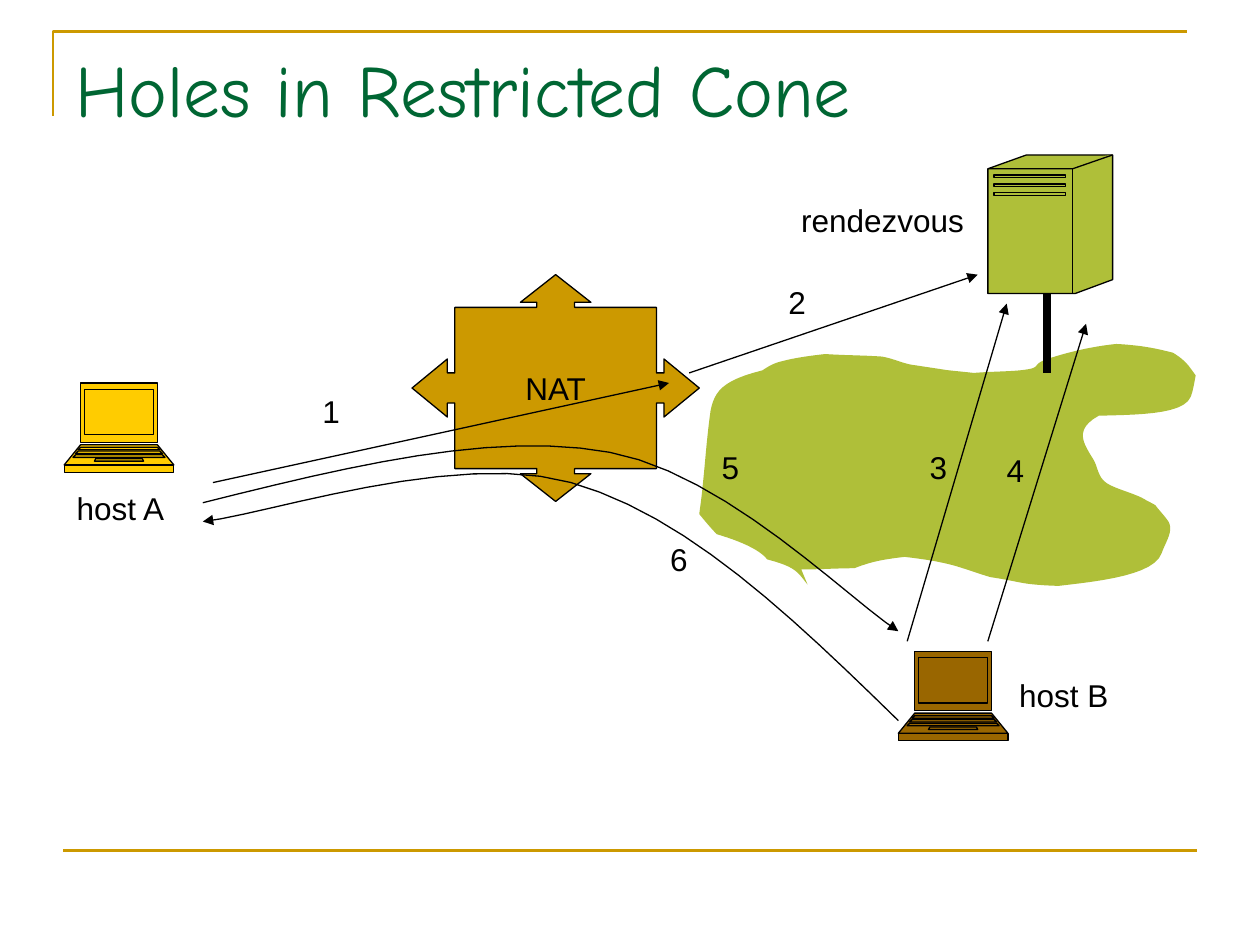
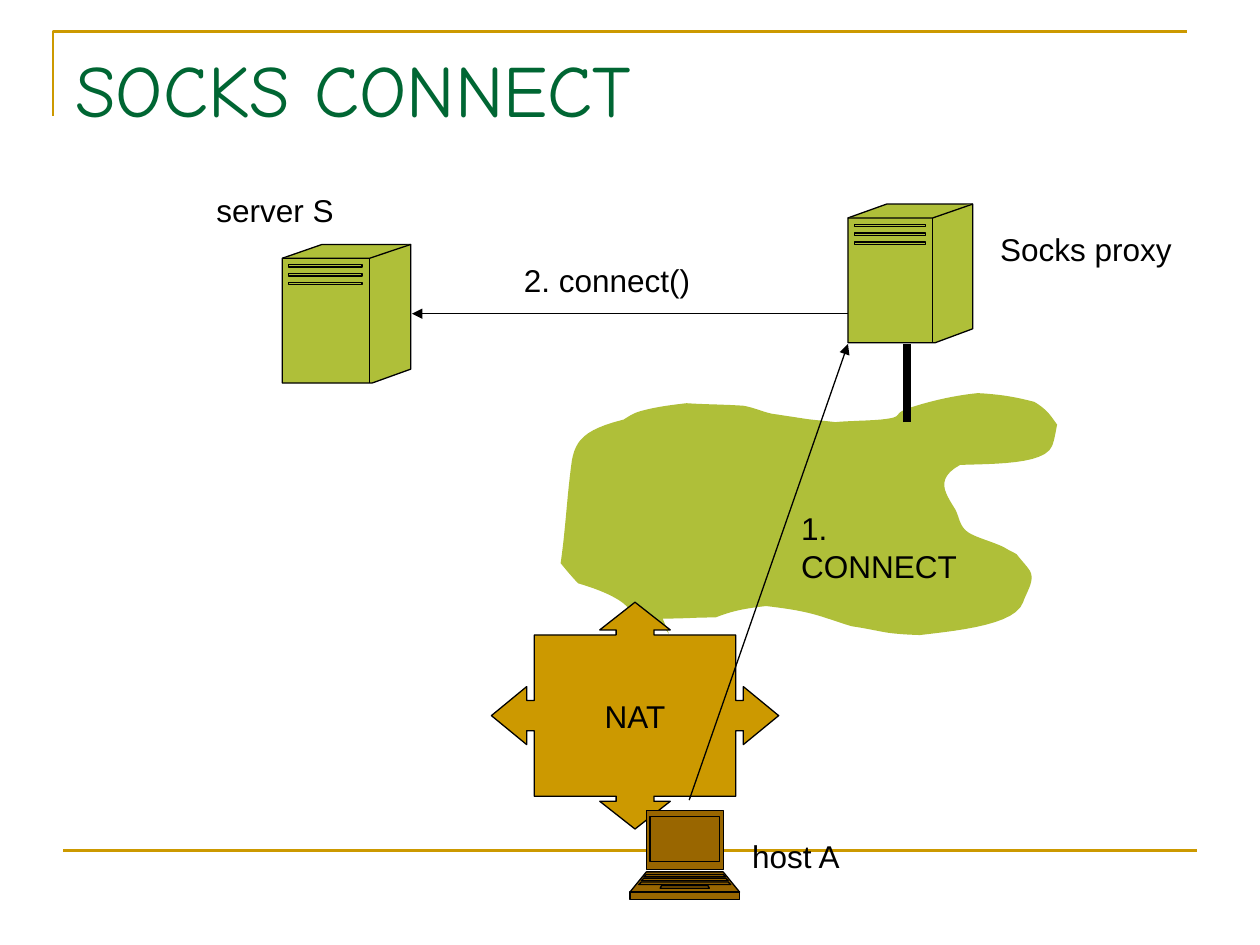
from lxml.etree import SubElement
from pptx import Presentation
from pptx.dml.color import RGBColor
from pptx.enum.shapes import MSO_CONNECTOR as Connector
from pptx.enum.text import MSO_ANCHOR as Anchor, MSO_AUTO_SIZE as AutoSize, PP_ALIGN as Align
from pptx.oxml.ns import qn
from pptx.util import Inches, Pt

GOLD = RGBColor(0xCC, 0x99, 0x00)
GREEN = RGBColor(0x00, 0x66, 0x33)
OLIVE = RGBColor(0xAF, 0xBF, 0x39)
BROWN = RGBColor(0x99, 0x66, 0x00)
YELLOW = RGBColor(0xFF, 0xCC, 0x00)
BLACK = RGBColor(0x00, 0x00, 0x00)
TITLE_FONT, BODY_FONT = "Comic Neue", "Arial"
THIN, FRAME, CABLE = 0.75, 1.5, 4.5

deck = Presentation()
deck.slide_width, deck.slide_height = Inches(10), Inches(7.5)
CELL = deck.slide_width // 10

CLOUD = [
    (0.86, 1.91),
    (0.78, 1.81), (0.77, 1.77), (0.54, 1.71),
    (0.48, 1.63), (0.31, 1.56), (0.14, 1.51),
    (0.09, 1.46), (0.05, 1.41), (0, 1.35),
    (0.04, 1.08), (0.05, 0.81), (0.09, 0.53),
    (0.12, 0.38), (0.18, 0.29), (0.5, 0.21),
    (0.58, 0.16), (0.59, 0.15), (0.73, 0.12),
    (0.82, 0.1), (1, 0.08), (1, 0.08),
    (1.15, 0.09), (1.3, 0.09), (1.45, 0.1),
    (1.56, 0.12), (1.62, 0.16), (1.72, 0.17),
    (2.05, 0.22), (1.9, 0.2), (2.18, 0.23),
    (2.29, 0.22), (2.42, 0.22), (2.54, 0.21),
    (2.74, 0.19), (2.62, 0.17), (2.76, 0.12),
    (2.91, 0.07), (3.11, 0.02), (3.31, 0),
    (3.49, 0.01), (3.61, 0.03), (3.76, 0.07),
    (3.86, 0.13), (3.89, 0.18), (3.94, 0.25),
    (3.93, 0.3), (3.92, 0.37), (3.9, 0.42),
    (3.84, 0.57), (3.42, 0.56), (3.17, 0.57),
    (2.97, 0.68), (3.05, 0.79), (3.13, 0.92),
    (3.17, 0.99), (3.16, 1.07), (3.26, 1.12),
    (3.34, 1.16), (3.46, 1.19), (3.53, 1.23),
    (3.56, 1.25), (3.59, 1.26), (3.62, 1.28),
    (3.65, 1.32), (3.68, 1.35), (3.71, 1.39),
    (3.78, 1.47), (3.7, 1.57), (3.67, 1.66),
    (3.61, 1.83), (3.21, 1.88), (2.85, 1.92),
    (2.55, 1.91), (2.57, 1.89), (2.31, 1.85),
    (2.17, 1.81), (2.06, 1.76), (1.9, 1.73),
    (1.81, 1.71), (1.63, 1.69), (1.63, 1.69),
    (1.45, 1.71), (1.36, 1.73), (1.23, 1.78),
    (1.09, 1.78), (0.95, 1.79), (0.81, 1.79),
]

QUARTER = [(0, -0.9), (0.28, -0.68), (0.15, -0.68), (0.15, -0.64), (0.8, -0.64),
           (0.8, -0.12), (0.86, -0.12), (0.86, -0.23), (1.14, 0)]
RIGHT_HALF = QUARTER + [(x, -y) for x, y in QUARTER[-2::-1]]
NAT = RIGHT_HALF + [(-x, y) for x, y in RIGHT_HALF[-2:0:-1]]

LAPTOP_WIDTH = 0.87
LAPTOP_PARTS = [(0.13, 0.13, 0, 0.47), (0.13, 0, 0.49, 0.65), (0, 0, 0.65, 0.71),
                (0.16, 0.16, 0.05, 0.41), (0.13, 0.11, 0.51, 0.53), (0.25, 0.24, 0.6, 0.62),
                (0.11, 0.09, 0.54, 0.56), (0.09, 0.07, 0.57, 0.59)]
LAPTOP = [[(upper, top), (LAPTOP_WIDTH - upper, top),
           (LAPTOP_WIDTH - lower, bottom), (lower, bottom), (upper, top)]
          for upper, lower, top, bottom in LAPTOP_PARTS]

SERVER = [[(0, 0.11), (0.31, 0), (1, 0), (1, 0.99), (0.7, 1.1), (0, 1.1), (0, 0.11)],
          [(0, 0.11), (0.68, 0.11), (1, 0)],
          [(0.68, 0.11), (0.68, 1.1)]]
SERVER += [[(0.05, y), (0.62, y), (0.62, y + 0.02), (0.05, y + 0.02), (0.05, y)]
           for y in (0.16, 0.23, 0.3)]

SLIDES = [
    {
        "title": "Holes in Restricted Cone",
        "cloud": (5.55, 2.73),
        "nat": (4.41, 3.08),
        "laptops": [(7.13, 5.17, BROWN), (0.51, 3.04, YELLOW)],
        "servers": [(7.84, 1.23, 0.99)],
        "cable": (8.31, 2.96, 8.31, 2.33),
        "labels": [("rendezvous", 6.26, 1.55, 1.49), ("host A", 0.51, 3.83, 0.91),
                   ("host B", 7.99, 5.32, 0.91), ("1", 2.46, 3.06, 0.34),
                   ("2", 6.16, 2.2, 0.34), ("3", 7.28, 3.51, 0.34),
                   ("4", 7.89, 3.53, 0.34), ("5", 5.63, 3.51, 0.34),
                   ("6", 5.22, 4.24, 0.34)],
        "arrows": [(1.69, 3.83, 5.31, 3.04), (5.47, 2.96, 7.76, 2.18),
                   (7.2, 5.09, 7.99, 2.41), (7.84, 5.09, 8.62, 2.57)],
        "curves": [[(1.61, 3.99), (2.77, 3.7), (3.92, 3.42), (4.84, 3.59),
                    (5.76, 3.76), (6.75, 4.77), (7.13, 5.01)],
                   [(7.13, 5.72), (6.29, 4.9), (5.45, 4.09), (4.53, 3.83),
                    (3.61, 3.57), (2.1, 4.09), (1.61, 4.14)]],
    },
    {
        "title": "SOCKS CONNECT",
        "cloud": (4.45, 3.12),
        "nat": (5.04, 5.68),
        "laptops": [(5, 6.43, BROWN)],
        "servers": [(6.73, 1.62, 0.99), (2.24, 1.94, 1.02)],
        "cable": (7.2, 3.35, 7.2, 2.73),
        "labels": [("Socks proxy", 7.84, 1.78, 1.56), ("host A", 5.87, 6.59, 0.91),
                   ("server S", 1.62, 1.47, 1.13), ("1. CONNECT", 6.26, 3.99, 1.71),
                   ("2. connect()", 4.06, 2.02, 1.52)],
        "arrows": [(5.47, 6.35, 6.73, 2.73), (6.73, 2.49, 3.27, 2.49)],
        "curves": [],
    },
]


def draw_outline(page, strokes, origin=(0, 0), fill=None, line=BLACK, weight=THIN, curved=False):
    builder = None
    for stroke in strokes:
        if curved:
            knots, stroke = stroke, stroke[:1]
            for first in range(0, len(knots) - 1, 3):
                ends = list(zip(*knots[first:first + 4]))
                for step in range(1, 13):
                    t = step / 12
                    stroke = stroke + [tuple(
                        a * (1 - t) ** 3 + 3 * b * t * (1 - t) ** 2 + 3 * c * t * t * (1 - t) + d * t ** 3
                        for a, b, c, d in ends)]
        points = [((origin[0] + x) * CELL, (origin[1] + y) * CELL) for x, y in stroke]
        if builder is None:
            builder = page.shapes.build_freeform(*points[0], scale=1.0)
        else:
            builder.move_to(*points[0])
        builder.add_line_segments(points[1:], close=fill is not None and len(points) > 3)
    shape = builder.convert_to_shape()
    shape.shadow.inherit = False
    contour = next(shape._element.iter(qn("a:path")))
    contours = contour.getparent()
    for node in list(contour):
        if node.tag == qn("a:moveTo"):
            part = SubElement(contours, qn("a:path"), dict(contour.attrib))
        part.append(node)
    contours.remove(contour)
    if fill is None:
        shape.fill.background()
    else:
        shape.fill.solid()
        shape.fill.fore_color.rgb = fill
    if line is None:
        shape.line.fill.background()
    else:
        shape.line.color.rgb = line
        shape.line.width = Pt(weight)
    return shape


def draw_line(page, ends, color=BLACK, weight=THIN):
    line = page.shapes.add_connector(Connector.STRAIGHT, *[round(end * CELL) for end in ends])
    line.line.color.rgb = color
    line.line.width = Pt(weight)
    SubElement(line._element.spPr, qn("a:effectLst"))
    return line


for content in SLIDES:
    page = deck.slides.add_slide(deck.slide_layouts[6])
    draw_outline(page, [[(0.42, 0.92), (0.42, 0.25), (9.42, 0.25)]], line=GOLD, weight=FRAME)
    draw_line(page, (0.5, 6.75, 9.5, 6.75), GOLD, FRAME)

    draw_outline(page, [CLOUD], content["cloud"], OLIVE, None, curved=True)
    nat = draw_outline(page, [NAT], content["nat"], GOLD)
    for left, top, color in content["laptops"]:
        draw_outline(page, LAPTOP, (left, top), color)
    for left, top, width in content["servers"]:
        strokes = [[(x * width, y) for x, y in stroke] for stroke in SERVER]
        draw_outline(page, strokes, (left, top), OLIVE)
    draw_line(page, content["cable"], weight=CABLE)

    arrows = [draw_line(page, ends) for ends in content["arrows"]]
    arrows += [draw_outline(page, [curve], curved=True) for curve in content["curves"]]
    for arrow in arrows:
        SubElement(arrow.line._get_or_add_ln(), qn("a:tailEnd"), type="triangle")

    title = page.shapes.add_textbox(CELL // 2, round(0.3 * CELL), 9 * CELL, round(1.25 * CELL))
    texts = [(title, content["title"], TITLE_FONT, 42, GREEN), (nat, "NAT", BODY_FONT, 18, BLACK)]
    for label, left, top, width in content["labels"]:
        box = page.shapes.add_textbox(*[round(side * CELL) for side in (left, top, width, 0.4)])
        box.text_frame.auto_size = AutoSize.SHAPE_TO_FIT_TEXT
        texts.append((box, label, BODY_FONT, 18, BLACK))
    for box, text, font, size, color in texts:
        box.text_frame.word_wrap = box is title
        box.text_frame.vertical_anchor = Anchor.MIDDLE if box is nat else Anchor.TOP
        para = box.text_frame.paragraphs[0]
        para.alignment = Align.CENTER if box is nat else Align.LEFT
        span = para.add_run()
        span.text = text
        span.font.name = font
        span.font.size = Pt(size)
        span.font.color.rgb = color

deck.save("out.pptx")
